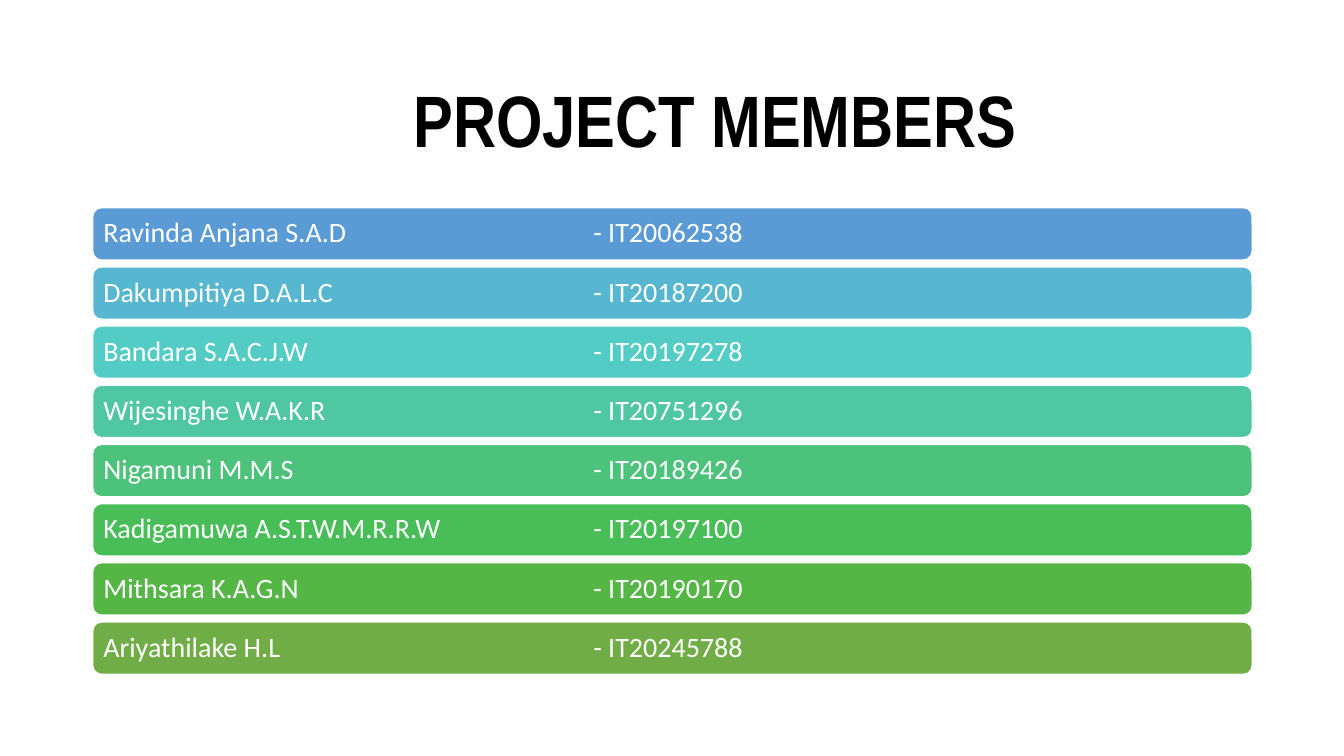
"""Build the project members slide."""
import pptx
import pptx.dml.color
import pptx.enum.shapes
import pptx.enum.text
import pptx.oxml
import pptx.oxml.ns
import pptx.util
from pptx.util import Inches

RGBColor = pptx.dml.color.RGBColor
BLACK = RGBColor(0x00, 0x00, 0x00)
WHITE = RGBColor(0xFF, 0xFF, 0xFF)
BLUE = RGBColor(0x5B, 0x9B, 0xD5)
SKY = RGBColor(0x57, 0xB7, 0xD1)
TURQUOISE = RGBColor(0x53, 0xCC, 0xC5)
MINT = RGBColor(0x4F, 0xC7, 0xA0)
JADE = RGBColor(0x4C, 0xC2, 0x7B)
EMERALD = RGBColor(0x48, 0xBD, 0x58)
LEAF = RGBColor(0x55, 0xB6, 0x46)
OLIVE = RGBColor(0x70, 0xAD, 0x47)

MEMBERS = [
    ("Ravinda Anjana S.A.D", "IT20062538", BLUE),
    ("Dakumpitiya D.A.L.C", "IT20187200", SKY),
    ("Bandara S.A.C.J.W", "IT20197278", TURQUOISE),
    ("Wijesinghe W.A.K.R", "IT20751296", MINT),
    ("Nigamuni M.M.S", "IT20189426", JADE),
    ("Kadigamuwa A.S.T.W.M.R.R.W", "IT20197100", EMERALD),
    ("Mithsara K.A.G.N", "IT20190170", LEAF),
    ("Ariyathilake H.L", "IT20245788", OLIVE),
]
LEFT, WIDTH = 0.92, 11.5
FIRST_TOP, LAST_TOP, BAR_HEIGHT = 2.06, 6.17, 0.52
PITCH = (LAST_TOP - FIRST_TOP) / (len(MEMBERS) - 1)
ID_TAB = 4.86


class MemberSlide:
    title_font = "Arial Narrow"
    body_font = "Calibri"

    def __init__(self, presentation):
        self.slide = presentation.slides.add_slide(presentation.slide_layouts[5])

    def style_text(self, text_frame, font_name, size, color, bold=False):
        text_frame.word_wrap = True
        text_frame.vertical_anchor = pptx.enum.text.MSO_ANCHOR.MIDDLE
        paragraph = text_frame.paragraphs[0]
        paragraph.alignment = pptx.enum.text.PP_ALIGN.LEFT
        paragraph.line_spacing = 0.9
        for run in paragraph.runs:
            run.font.name = font_name
            run.font.size = pptx.util.Pt(size)
            run.font.bold = bold
            run.font.color.rgb = color

    def add_title(self, text):
        title = self.slide.shapes.title
        title.left, title.top = Inches(LEFT), Inches(0.61)
        title.width, title.height = Inches(WIDTH), Inches(1.24)
        title.text_frame.text = text
        title.text_frame.margin_left = Inches(3.18)
        self.style_text(title.text_frame, self.title_font, 52, BLACK, bold=True)

    def add_member(self, top, name, student_id, color):
        bar = self.slide.shapes.add_shape(
            pptx.enum.shapes.MSO_SHAPE.ROUNDED_RECTANGLE,
            Inches(LEFT), Inches(top), Inches(WIDTH), Inches(BAR_HEIGHT))
        bar.shadow.inherit = False
        bar.fill.solid()
        bar.fill.fore_color.rgb = color
        bar.line.color.rgb = WHITE
        bar.line.width = pptx.util.Pt(1)
        text_frame = bar.text_frame
        text_frame.text = f"{name}\t- {student_id}"
        text_frame.margin_left = text_frame.margin_right = Inches(0.08)
        text_frame.margin_top = text_frame.margin_bottom = Inches(0.08)
        self.style_text(text_frame, self.body_font, 20, WHITE)
        self.add_tab_stop(text_frame.paragraphs[0])

    def add_tab_stop(self, paragraph):
        properties = paragraph._p.get_or_add_pPr()
        tab_list = pptx.oxml.parse_xml(
            f'<a:tabLst {pptx.oxml.ns.nsdecls("a")}>'
            f'<a:tab pos="{Inches(ID_TAB)}" algn="l"/></a:tabLst>')
        properties.append(tab_list)


def main():
    presentation = pptx.Presentation()
    presentation.slide_width = Inches(13.33)
    presentation.slide_height = Inches(7.5)
    member_slide = MemberSlide(presentation)
    member_slide.add_title("PROJECT MEMBERS")
    for row, (name, student_id, color) in enumerate(MEMBERS):
        member_slide.add_member(FIRST_TOP + row * PITCH, name, student_id, color)
    presentation.save("out.pptx")


if __name__ == "__main__":
    main()
